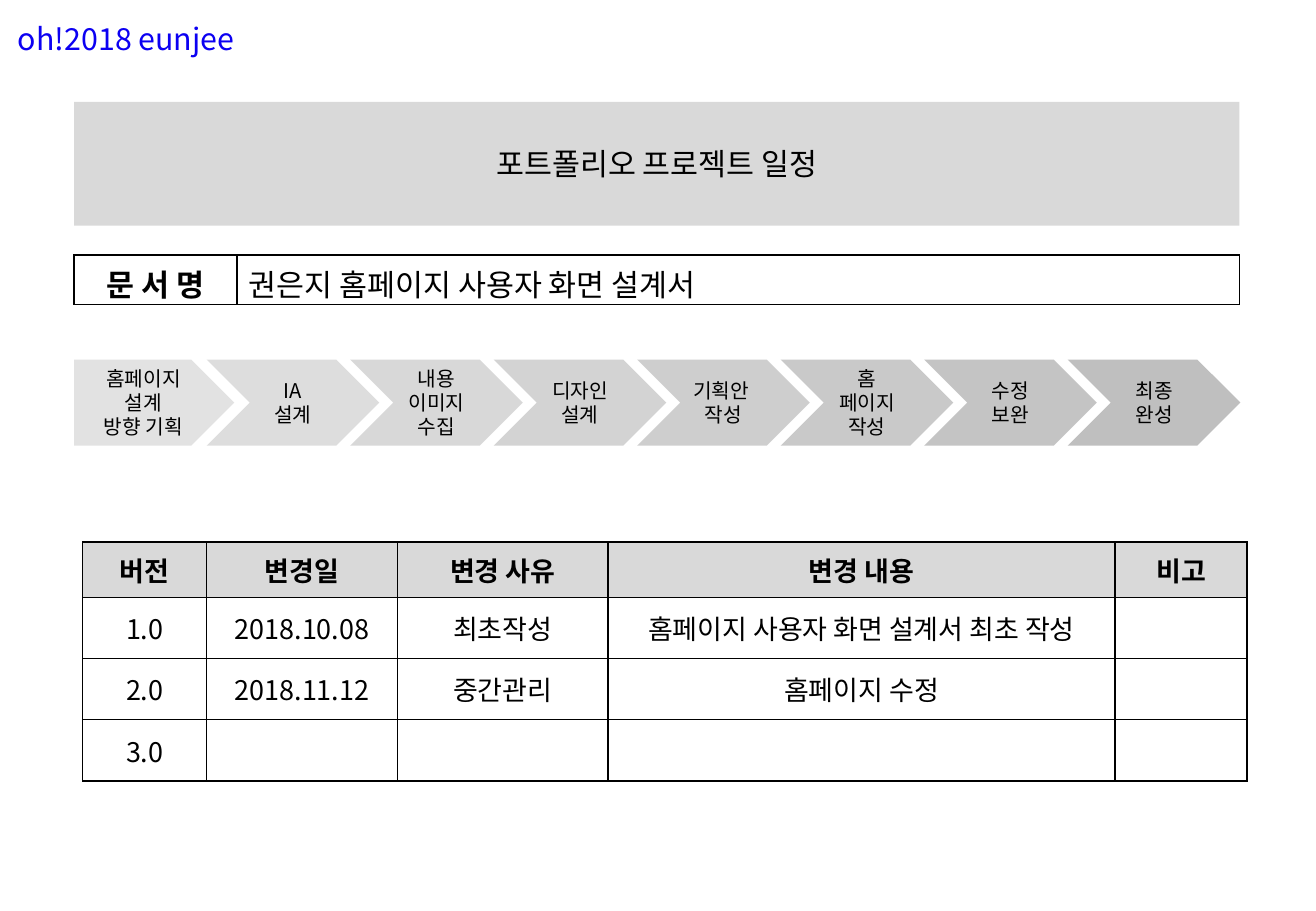
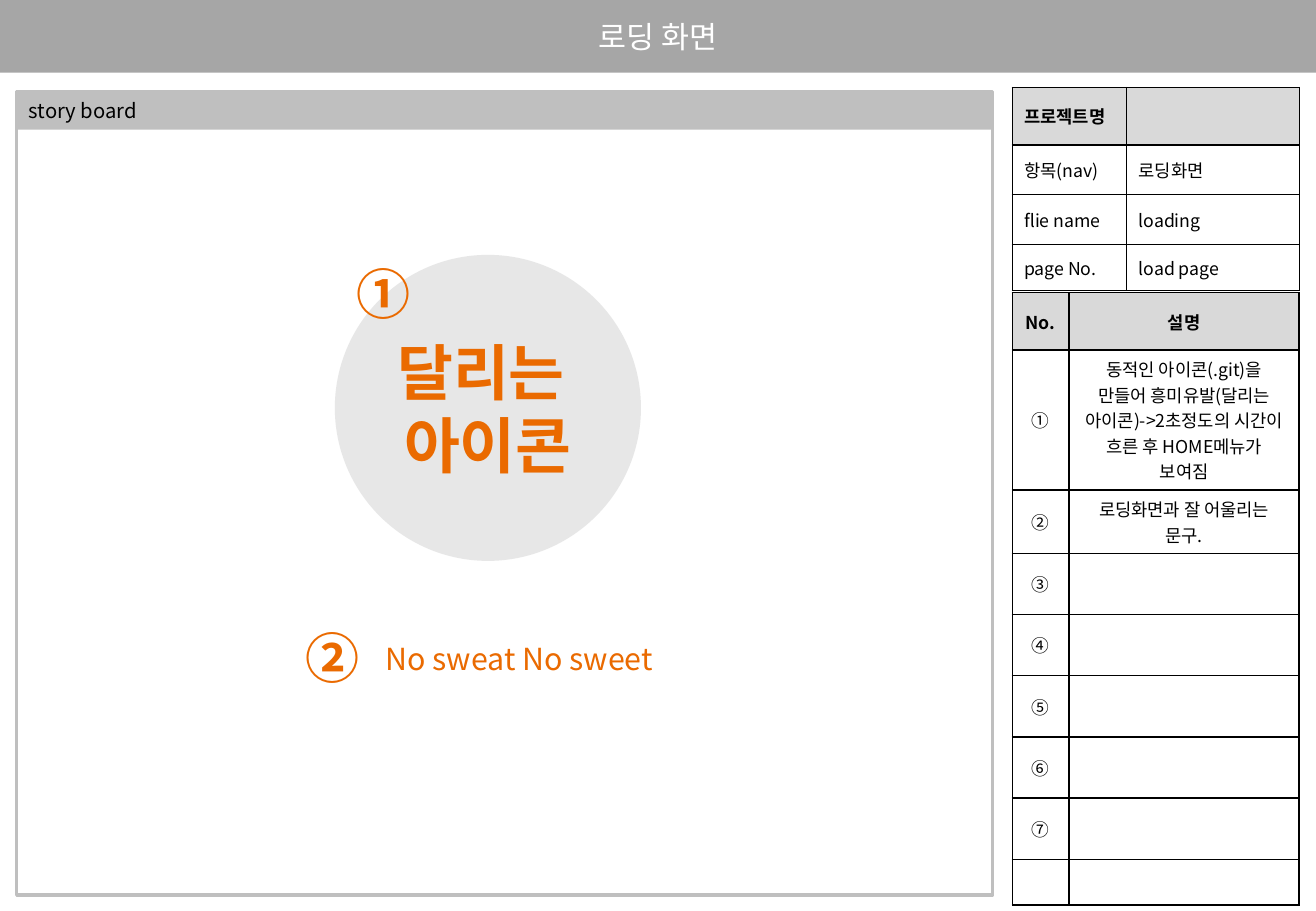
from pptx import Presentation
from pptx.dml.color import RGBColor
from pptx.enum.shapes import MSO_SHAPE as Geo
from pptx.enum.text import MSO_ANCHOR as Anchor, MSO_AUTO_SIZE as Fit, PP_ALIGN as Align
from pptx.oxml.ns import qn
from pptx.util import Cm, Pt
from lxml.etree import SubElement, Element

FONT = "Noto Sans CJK KR"
BLACK, WHITE, BLUE, ORANGE = "000000", "FFFFFF", "0C00F2", "EA6A00"
PALE, GREY, DARK = "D9D9D9", "BFBFBF", "A6A6A6"
WIDE, HIGH = 27.51, 19.05
LEFT, SPAN = 1.55, 24.36


def rgb(code):
    return RGBColor.from_string(code)


def write(frame, lines, size, color=BLACK, bold=False, align=Align.CENTER):
    """One paragraph per line, with the font set for Latin and Korean."""
    for i, line in enumerate(lines):
        para = frame.paragraphs[0] if i == 0 else frame.add_paragraph()
        para.alignment = align
        run = para.add_run()
        run.text = line
        font = run.font
        font.name, font.size, font.bold = FONT, Pt(size), bold
        font.color.rgb = rgb(color)
        SubElement(run._r.get_or_add_rPr(), qn("a:ea"), typeface=FONT)


def shape(shapes, geo, box, fill=None, alpha=100, line=None):
    item = shapes.add_shape(geo, *map(Cm, box))
    item.shadow.inherit = False
    if fill:
        item.fill.solid()
        item.fill.fore_color.rgb = rgb(fill)
        if alpha < 100:
            tint = item._element.spPr.find(".//" + qn("a:srgbClr"))
            SubElement(tint, qn("a:alpha"), val=str(alpha * 1000))
    else:
        item.fill.background()
    if line:
        item.line.color.rgb = rgb(line)
        item.line.width = Pt(2)
    else:
        item.line.fill.background()
    return item


def label(shapes, box, line, size, color, bold=False, wrap=False):
    frame = shapes.add_textbox(*map(Cm, box)).text_frame
    frame.word_wrap = wrap
    frame.auto_size = Fit.SHAPE_TO_FIT_TEXT
    write(frame, [line], size, color, bold)


def border(cell):
    props = cell._tc.get_or_add_tcPr()
    for i, side in enumerate(("lnL", "lnR", "lnT", "lnB")):
        edge = Element(qn("a:" + side), w=str(Pt(1)))
        fill = SubElement(edge, qn("a:solidFill"))
        SubElement(fill, qn("a:srgbClr"), val=BLACK)
        props.insert(i, edge)


def grid(shapes, left, top, cols, rows, data, size, align=Align.CENTER, head=True):
    """A ruled table; a head row is bold on pale grey."""
    table = shapes.add_table(len(rows), len(cols), Cm(left), Cm(top),
                             Cm(sum(cols)), Cm(sum(rows))).table
    table.first_row = table.horz_banding = False
    for col, width in zip(table.columns, cols):
        col.width = Cm(width)
    for r, height in enumerate(rows):
        table.rows[r].height = Cm(height)
        for c, text in enumerate(data[r]):
            cell = table.cell(r, c)
            top_row = head and r == 0
            cell.vertical_anchor = Anchor.MIDDLE
            cell.fill.solid()
            cell.fill.fore_color.rgb = rgb(PALE if top_row else WHITE)
            border(cell)
            if text:
                write(cell.text_frame, [text], size, bold=top_row, align=align)
            elif head:
                # Small text size lets an empty row stay low
                para = cell.text_frame.paragraphs[0]._p
                SubElement(para, qn("a:endParaRPr"), sz=str(int(size * 100)))
    return table


def band(shapes, box, fill, title, color):
    write(shape(shapes, Geo.RECTANGLE, box, fill).text_frame, [title], 18, color)


def steps(shapes, top, names):
    """A row of arrows that darken towards the end."""
    for i, lines in enumerate(names):
        if i == 0:
            geo, left, width = Geo.PENTAGON, LEFT, 3.35
        else:
            geo, left, width = Geo.CHEVRON, 1.32 + 3 * i, 3.61
        step = shape(shapes, geo, (left, top, width, 1.8), GREY, 44 + 8 * i)
        write(step.text_frame, lines, 12)


def plan(shapes):
    label(shapes, (0.1, 0.3, 5.08, 1.02), "oh!2018 eunjee", 18, BLUE)
    band(shapes, (LEFT, 2.13, SPAN, 2.59), PALE, "포트폴리오 프로젝트 일정", BLACK)

    # Document name
    table = grid(shapes, LEFT, 5.33, (3.4, 20.96), (1.04,), [("", "")], 18, head=False)
    name, value = table.cell(0, 0), table.cell(0, 1)
    name.vertical_anchor = value.vertical_anchor = Anchor.TOP
    write(name.text_frame, ["문 서 명"], 18, bold=True)
    write(value.text_frame, ["권은지 홈페이지 사용자 화면 설계서"], 18, align=Align.LEFT)

    # Work steps
    steps(shapes, 7.52, [
        ("홈페이지 설계", "방향 기획"), ("IA", "설계"), ("내용", "이미지", "수집"),
        ("디자인 설계",), ("기획안 ", "작성"), ("홈", "페이지 작성"),
        ("수정", "보완"), ("최종", "완성")])

    # Version history
    grid(shapes, 1.73, 11.33, (2.59, 3.99, 4.4, 10.6, 2.76), (1.16,) + (1.28,) * 3, [
        ("버전", "변경일", "변경 사유", "변경 내용", "비고"),
        ("1.0", "2018.10.08", "최초작성", "홈페이지 사용자 화면 설계서 최초 작성", ""),
        ("2.0", "2018.11.12", "중간관리", "홈페이지 수정", ""),
        ("3.0", "", "", "", "")], 16)


def board(shapes):
    band(shapes, (0, 0, WIDE, 1.52), DARK, "로딩 화면", WHITE)
    icon = shape(shapes, Geo.OVAL, (7, 5.33, 6.4, 6.4), PALE, 62)
    write(icon.text_frame, ["달리는 ", "아이콘"], 36, ORANGE, True)

    # Story board frame
    group = shapes.add_group_shape().shapes
    shape(group, Geo.RECTANGLE, (0.35, 1.92, 20.4, 16.8), line=GREY)
    strip = shape(group, Geo.RECTANGLE, (0.35, 1.92, 20.4, 0.79), GREY)
    write(strip.text_frame, ["story board"], 12, align=Align.LEFT)

    # Page facts and remarks
    grid(shapes, 21.16, 1.83, (2.39, 3.61), (1.2, 1.04, 1.04, 0.97), [
        ("프로젝트명", ""), ("항목(nav)", "로딩화면"),
        ("flie name", "loading"), ("page No.", "load page")], 10.5, Align.LEFT)
    notes = [
        ("No.", "설명"),
        ("①", "동적인 아이콘(.git)을 만들어 흥미유발(달리는 아이콘)->2초정도의 "
              "시간이 흐른 후 HOME메뉴가 보여짐"),
        ("②", "로딩화면과 잘 어울리는 문구."),
        *((mark, "") for mark in "③④⑤⑥⑦"), ("", "")]
    heights = (1.2, 2.93, 1.32) + (1.28,) * 5 + (0.95,)
    grid(shapes, 21.16, 6.12, (1.19, 4.81), heights, notes, 10.5)

    # Callouts and slogan
    label(shapes, (7.19, 5.33, 1.65, 1.63), "①", 32, ORANGE, True)
    shape(shapes, Geo.RECTANGLE, (6.15, 12.95, 8, 1.63), WHITE)
    label(shapes, (4.95, 13.26, 11.81, 1.02), "No sweat No sweet", 18, ORANGE, wrap=True)
    label(shapes, (6.12, 12.94, 1.65, 1.63), "②", 32, ORANGE, True)


def main():
    deck = Presentation()
    deck.slide_width, deck.slide_height = Cm(WIDE), Cm(HIGH)
    for build in (plan, board):
        build(deck.slides.add_slide(deck.slide_layouts[6]).shapes)
    deck.save("out.pptx")


if __name__ == "__main__":
    main()
